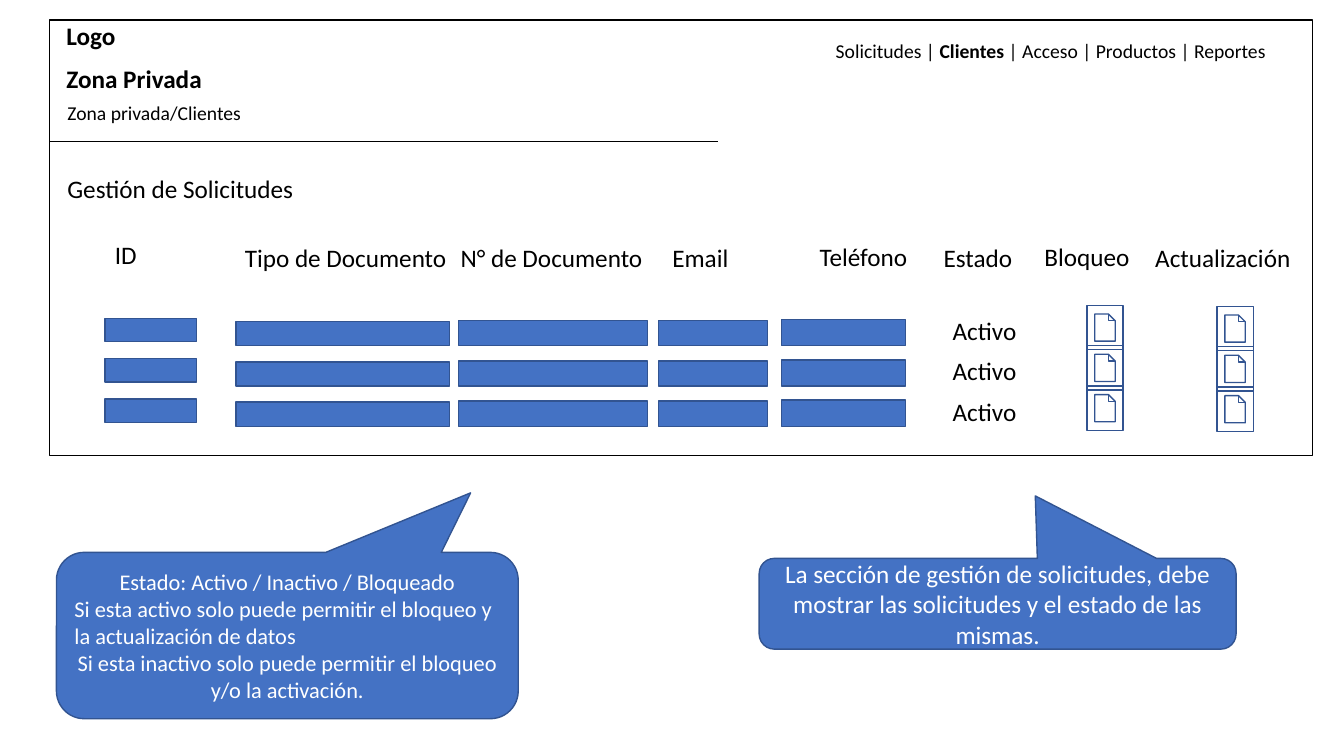
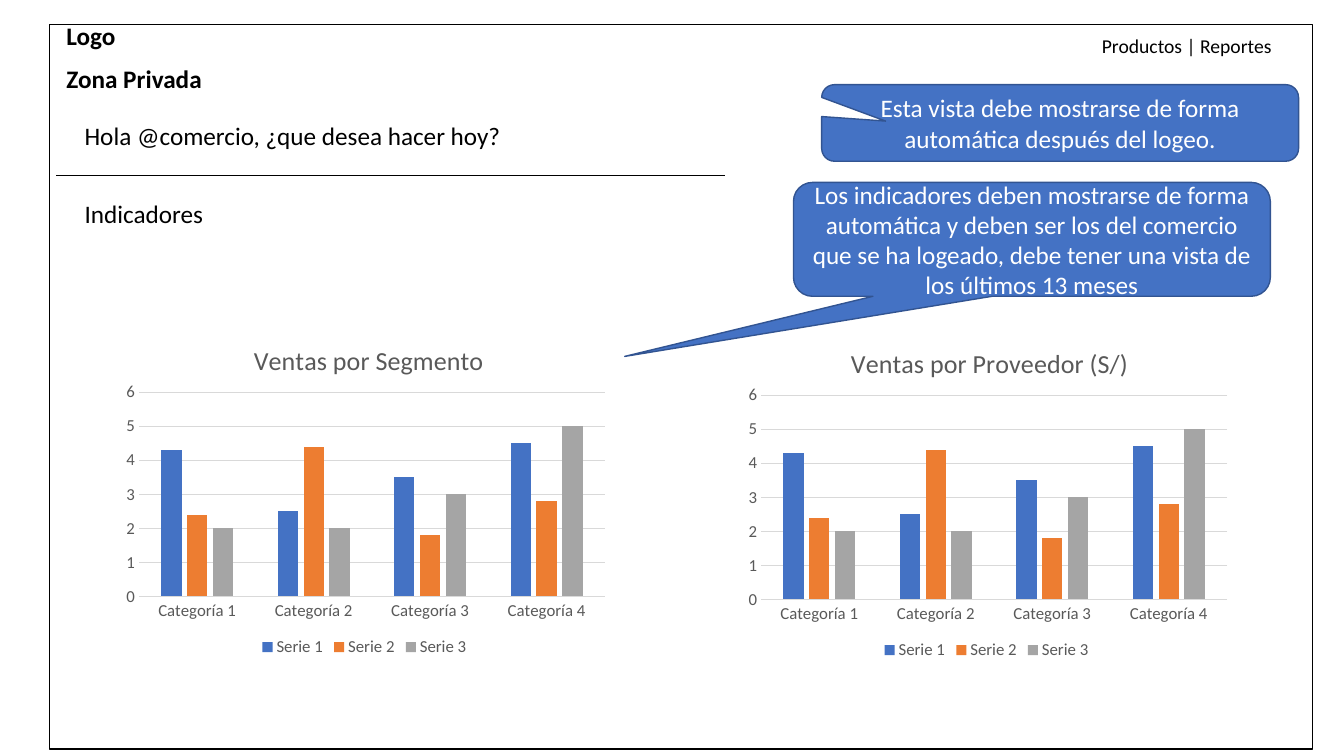
from lxml.etree import SubElement
from pptx import Presentation
from pptx.chart.data import CategoryChartData
from pptx.dml.color import RGBColor
from pptx.enum.chart import XL_CHART_TYPE, XL_LEGEND_POSITION, XL_TICK_MARK
from pptx.enum.shapes import MSO_CONNECTOR, MSO_SHAPE as SHAPE
from pptx.enum.text import MSO_ANCHOR, MSO_AUTO_SIZE, PP_ALIGN as ALIGN
from pptx.oxml.ns import qn
from pptx.util import Inches, Pt

FONT = "Calibri"
BLACK = RGBColor(0x00, 0x00, 0x00)
WHITE = RGBColor(0xFF, 0xFF, 0xFF)
BLUE = RGBColor(0x44, 0x72, 0xC4)
DARK_BLUE = RGBColor(0x32, 0x54, 0x91)
ORANGE = RGBColor(0xED, 0x7D, 0x31)
GRAY = RGBColor(0xA5, 0xA5, 0xA5)
GRID_GRAY = RGBColor(0xD9, 0xD9, 0xD9)
TEXT_GRAY = RGBColor(0x59, 0x59, 0x59)

FRAME_LEFT, FRAME_WIDTH = 0.49, 12.53
RULE_WIDTH = 6.63
TEXT_HEIGHT = 0.4
HEADER = [("Logo", 0.15), ("Zona Privada", 0.58)]

HEADINGS = [
    ("ID", 1.04, 2.33, 0.96),
    ("Tipo de Documento", 2.33, 2.35, 2.23),
    ("N° de Documento", 4.47, 2.35, 2.03),
    ("Email", 6.57, 2.35, 0.76),
    ("Teléfono", 8.03, 2.34, 1.08),
    ("Estado", 9.26, 2.35, 0.89),
    ("Bloqueo", 10.26, 2.34, 1.06),
    ("Actualización", 11.36, 2.35, 1.56),
]
STATES = ["Activo", "Activo", "Activo"]
ROW_TOP, ROW_PITCH = 3.18, 0.4
BARS = [(1.04, -0.02, 0.91, 0.23), (2.34, 0.01, 2.12, 0.24), (4.55, 0, 1.87, 0.25),
        (6.53, 0, 1.08, 0.25), (7.75, -0.01, 1.23, 0.26)]
BUTTONS = [(10.78, -0.15), (12.07, -0.14)]
MENU = [("Solicitudes | ", False), ("Clientes", True),
        (" | Acceso | Productos | Reportes", False)]

REQUEST_NOTE = [("La sección de gestión de solicitudes, debe mostrar las solicitudes "
                 "y el estado de las mismas.", ALIGN.CENTER)]
STATE_NOTE = [
    ("Estado: Activo / Inactivo / Bloqueado", ALIGN.CENTER),
    ("Si esta activo solo puede permitir el bloqueo y la actualización de datos", ALIGN.LEFT),
    ("Si esta inactivo solo puede permitir el bloqueo y/o la activación.", ALIGN.CENTER),
]
INDICATOR_NOTE = [("Los indicadores deben mostrarse de forma automática y deben ser los del "
                   "comercio que se ha logeado, debe tener una vista de los últimos 13 meses",
                   ALIGN.CENTER)]
VIEW_NOTE = [("Esta vista debe mostrarse de forma automática después del logeo.", ALIGN.CENTER)]

CATEGORIES = ["Categoría 1", "Categoría 2", "Categoría 3", "Categoría 4"]
SERIES = [
    ("Serie 1", (4.3, 2.5, 3.5, 4.5), BLUE),
    ("Serie 2", (2.4, 4.4, 1.8, 2.8), ORANGE),
    ("Serie 3", (2, 2, 3, 5), GRAY),
]
CHARTS = [("Ventas por Segmento", 1.13, 3.18, 0.27),
          ("Ventas por Proveedor (S/)", 7.3, 3.21, 0.22)]
CHART_SIZE = (4.97, 3.38)


def inches(*lengths):
    return [Inches(length) for length in lengths]


def style_font(font, size, color, bold=False):
    font.name, font.size, font.bold = FONT, Pt(size), bold
    font.color.rgb = color


def add_text(slide, runs, left, top, width, size=18, bold=False, wrap=False):
    box = slide.shapes.add_textbox(*inches(left, top, width, TEXT_HEIGHT))
    frame = box.text_frame
    frame.word_wrap = wrap
    frame.auto_size = MSO_AUTO_SIZE.SHAPE_TO_FIT_TEXT
    for text, strong in ([(runs, bold)] if isinstance(runs, str) else runs):
        run = frame.paragraphs[0].add_run()
        run.text = text
        style_font(run.font, size, BLACK, strong)


def add_box(slide, kind, left, top, width, height, fill=None, line=DARK_BLUE):
    shape = slide.shapes.add_shape(kind, *inches(left, top, width, height))
    shape.shadow.inherit = False
    if fill is None:
        shape.fill.background()
    else:
        shape.fill.solid()
        shape.fill.fore_color.rgb = fill
    shape.line.color.rgb = line
    shape.line.width = Pt(1)
    return shape


def add_callout(slide, paragraphs, place, tip, size=18):
    shape = add_box(slide, SHAPE.ROUNDED_RECTANGULAR_CALLOUT, *place, fill=BLUE)
    for index, value in enumerate((*tip, 0.167)):
        shape.adjustments[index] = value
    frame = shape.text_frame
    frame.word_wrap = True
    frame.vertical_anchor = MSO_ANCHOR.MIDDLE
    frame.text = "\n".join(text for text, _ in paragraphs)
    for paragraph, (_, alignment) in zip(frame.paragraphs, paragraphs):
        paragraph.alignment = alignment
        style_font(paragraph.runs[0].font, size, WHITE)


def add_page(presentation, frame_top, frame_height, rule_left, rule_top):
    slide = presentation.slides.add_slide(presentation.slide_layouts[6])
    add_box(slide, SHAPE.RECTANGLE, FRAME_LEFT, frame_top, FRAME_WIDTH, frame_height, line=BLACK)
    for text, top in HEADER:
        add_text(slide, text, 0.56, top, 2.31, bold=True, wrap=True)
    rule = slide.shapes.add_connector(
        MSO_CONNECTOR.STRAIGHT, *inches(rule_left, rule_top, rule_left + RULE_WIDTH, rule_top))
    rule.line.color.rgb = BLACK
    rule.line.width = Pt(0.5)
    SubElement(rule.element.spPr, qn("a:effectLst"))
    return slide


def set_layout(element, position, **values):
    for old in element.findall(qn("c:layout")):
        element.remove(old)
    layout = SubElement(element, qn("c:layout"))
    element.insert(position, layout)
    manual = SubElement(layout, qn("c:manualLayout"))
    for name, value in values.items():
        SubElement(manual, qn(f"c:{name}")).set("val", str(value))


def add_sales_chart(slide, title, left, top, title_share):
    data = CategoryChartData()
    data.categories = CATEGORIES
    for name, values, _ in SERIES:
        data.add_series(name, values)
    chart = slide.shapes.add_chart(
        XL_CHART_TYPE.COLUMN_CLUSTERED, *inches(left, top, *CHART_SIZE), data).chart
    style_font(chart.font, 12, TEXT_GRAY)
    chart.has_title = True
    chart.chart_title.text_frame.text = title
    style_font(chart.chart_title.text_frame.paragraphs[0].runs[0].font, 18.6, TEXT_GRAY)
    chart.chart_title.include_in_layout = False
    set_layout(chart.chart_title.element, 1, xMode="edge", yMode="edge", x=title_share, y=0.05)
    set_layout(chart.element.find(".//" + qn("c:plotArea")), 0, layoutTarget="inner",
               xMode="edge", yMode="edge", x=0.05, y=0.21, w=0.93, h=0.6)
    chart.has_legend = True
    chart.legend.position = XL_LEGEND_POSITION.BOTTOM
    chart.legend.include_in_layout = False
    style_font(chart.legend.font, 12, TEXT_GRAY)

    plot = chart.plots[0]
    plot.gap_width, plot.overlap, plot.vary_by_categories = 219, -27, False
    for series, (_, _, color) in zip(plot.series, SERIES):
        series.format.fill.solid()
        series.format.fill.fore_color.rgb = color
    for axis in (chart.category_axis, chart.value_axis):
        axis.major_tick_mark = axis.minor_tick_mark = XL_TICK_MARK.NONE
        style_font(axis.tick_labels.font, 12, TEXT_GRAY)
    value_axis = chart.value_axis
    value_axis.minimum_scale, value_axis.maximum_scale, value_axis.major_unit = 0, 6, 1
    value_axis.format.line.fill.background()
    for line in (chart.category_axis.format.line, value_axis.major_gridlines.format.line):
        line.color.rgb = GRID_GRAY
        line.width = Pt(0.75)


def build_clients(presentation):
    slide = add_page(presentation, 0.2, 4.32, FRAME_LEFT, 1.4)
    add_text(slide, "Zona privada/Clientes", 0.57, 0.95, 1.94, size=14)
    add_text(slide, "Gestión de Solicitudes", 0.57, 1.67, 2.57)
    add_text(slide, MENU, 8.19, 0.34, 4.82, size=14, wrap=True)
    for text, left, top, width in HEADINGS:
        add_text(slide, text, left, top, width, wrap=text == "ID")
    for row, state in enumerate(STATES):
        row_top = ROW_TOP + row * ROW_PITCH
        for left, shift, width, height in BARS:
            add_box(slide, SHAPE.RECTANGLE, left, row_top + shift, width, height, fill=BLUE)
        for left, shift in BUTTONS:
            add_box(slide, SHAPE.ACTION_BUTTON_DOCUMENT, left, row_top + shift, 0.36, 0.44)
        add_text(slide, state, 9.35, row_top - 0.1, 0.84)
    add_callout(slide, REQUEST_NOTE, (7.53, 5.54, 4.73, 0.9), (0.079, -1.189))
    add_callout(slide, STATE_NOTE, (0.56, 5.48, 4.58, 1.65), (0.397, -0.858), size=16)


def build_reports(presentation):
    slide = add_page(presentation, 0.24, 7.19, 0.56, 1.74)
    add_text(slide, "Productos | Reportes", 10.83, 0.29, 2.19, size=14, wrap=True)
    add_text(slide, "Hola @comercio, ¿que desea hacer hoy?", 0.74, 1.14, 4.38)
    add_text(slide, "Indicadores", 0.74, 1.92, 1.39)
    for chart in CHARTS:
        add_sales_chart(slide, *chart)
    add_callout(slide, INDICATOR_NOTE, (7.87, 1.81, 4.73, 1.13), (-0.854, 1.028))
    add_callout(slide, VIEW_NOTE, (8.15, 0.84, 4.73, 0.76), (-0.366, -0.024))


def main():
    presentation = Presentation()
    presentation.slide_width, presentation.slide_height = inches(13.33, 7.5)
    build_clients(presentation)
    build_reports(presentation)
    presentation.save("out.pptx")


if __name__ == "__main__":
    main()
